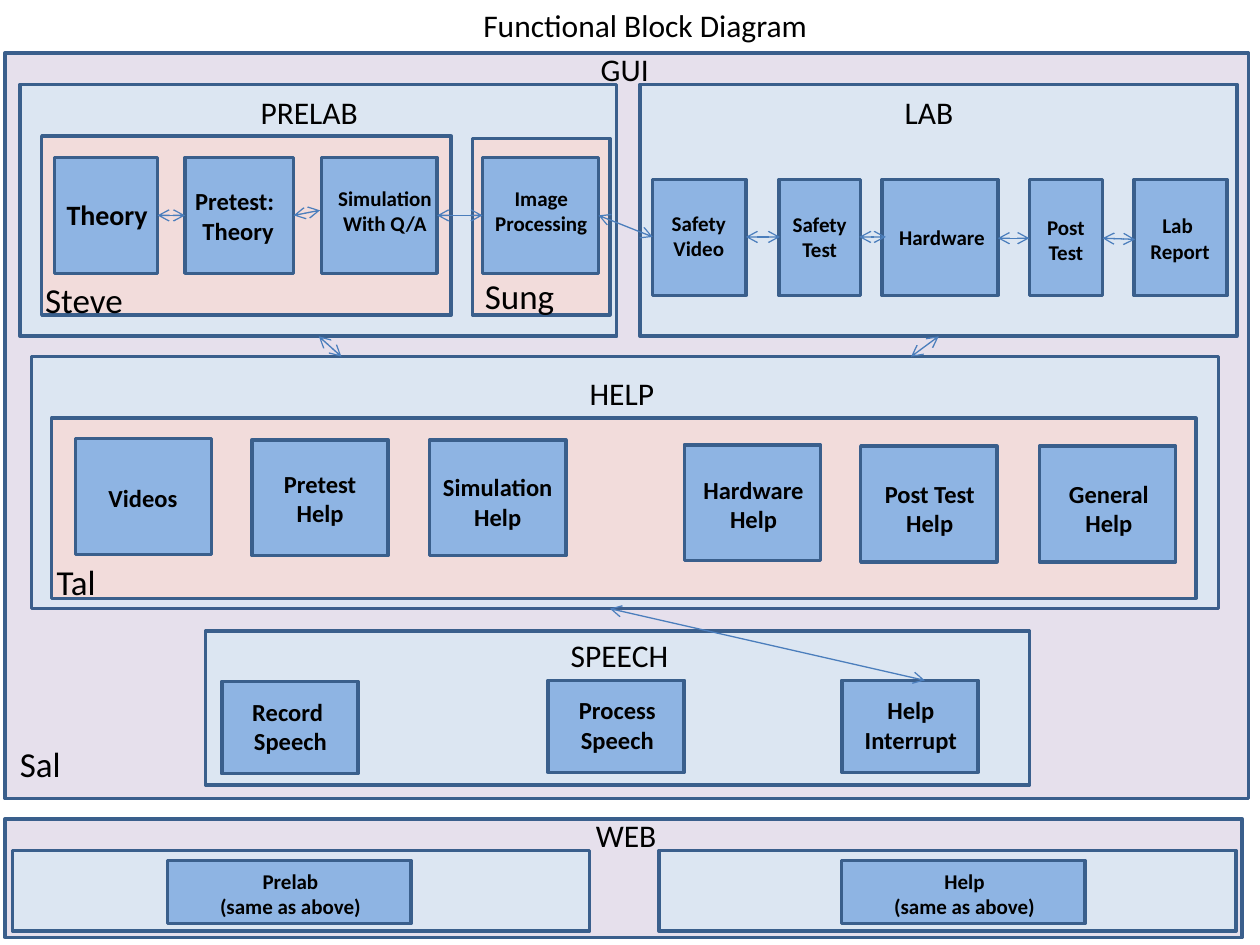
from dataclasses import dataclass

from lxml import etree
from pptx import Presentation
from pptx.dml.color import RGBColor
from pptx.enum.shapes import MSO_CONNECTOR, MSO_SHAPE
from pptx.enum.text import MSO_AUTO_SIZE, PP_ALIGN
from pptx.oxml.ns import qn
from pptx.util import Pt

RECTANGLE = MSO_SHAPE.RECTANGLE
STRAIGHT = MSO_CONNECTOR.STRAIGHT
GROW = MSO_AUTO_SIZE.SHAPE_TO_FIT_TEXT
LEFT, CENTER = PP_ALIGN.LEFT, PP_ALIGN.CENTER


@dataclass(frozen=True)
class Theme:
    """Colours, font and type sizes of the diagram."""
    system: str = "E6E0EC"
    section: str = "DCE6F2"
    owner: str = "F2DCDB"
    block: str = "8EB4E3"
    border: str = "3A5F8C"
    arrow: str = "4B7EBC"
    text: str = "000000"
    font: str = "Calibri"
    name: int = 20
    heading: int = 18
    large: int = 16
    medium: int = 14
    small: int = 12


class Diagram:
    """Draws the parts of a block diagram on one slide; lengths in points."""

    def __init__(self, slide, theme):
        """Keep the slide and its style."""
        self.shapes = slide.shapes
        self.theme = theme

    def box(self, left, top, width, height, fill):
        """Draw a bordered rectangle."""
        rect = self.shapes.add_shape(
            RECTANGLE, Pt(left), Pt(top), Pt(width), Pt(height))
        rect.shadow.inherit = False
        rect.fill.solid()
        rect.fill.fore_color.rgb = RGBColor.from_string(fill)
        rect.line.color.rgb = RGBColor.from_string(self.theme.border)
        rect.line.width = Pt(2)

    def label(self, text, left, top, width, size,
              bold=False, aligns=(LEFT,), wrap=False):
        """Write text, one paragraph a line; the last alignment carries on."""
        height = 7.2 + 1.22 * size * len(text.split("\n"))
        frame = self.shapes.add_textbox(
            Pt(left), Pt(top), Pt(width), Pt(height)).text_frame
        frame.word_wrap = wrap
        frame.auto_size = GROW
        frame.text = text
        for index, paragraph in enumerate(frame.paragraphs):
            paragraph.alignment = aligns[min(index, len(aligns) - 1)]
            for run in paragraph.runs:
                run.font.name = self.theme.font
                run.font.size = Pt(size)
                run.font.bold = bold
                run.font.color.rgb = RGBColor.from_string(self.theme.text)

    def block(self, bounds, text, place, size, aligns=(CENTER,), wrap=False):
        """Draw a block with its bold label at (left, top, width)."""
        self.box(*bounds, self.theme.block)
        self.label(text, *place, size, True, aligns, wrap)

    def arrow(self, x1, y1, x2, y2):
        """Draw a thin arrow with a head at both ends."""
        link = self.shapes.add_connector(
            STRAIGHT, Pt(x1), Pt(y1), Pt(x2), Pt(y2))
        link.line.color.rgb = RGBColor.from_string(self.theme.arrow)
        link.line.width = Pt(0.75)
        line = link.line._get_or_add_ln()
        for end in ("a:headEnd", "a:tailEnd"):
            etree.SubElement(line, qn(end), type="arrow")
        etree.SubElement(link._element.spPr, qn("a:effectLst"))


def draw_panels(diagram):
    """Draw the nested areas from the outside in."""
    theme = diagram.theme
    panels = {
        theme.system: [(2.9, 30.2, 710.6, 426.2), (2.9, 468, 707, 67.7)],
        theme.section: [
            (11.5, 48.2, 340.9, 144), (365.8, 48.2, 341, 144),
            (18, 203.8, 678.2, 144), (117.4, 360.7, 470.9, 87.8),
            (7.2, 486, 329.8, 46), (376.6, 486, 329.8, 46)],
        theme.owner: [
            (23.8, 77.8, 234, 102.2), (270, 79.2, 78.5, 100.8),
            (29.5, 239, 653.8, 103)],
    }
    for fill, areas in panels.items():
        for area in areas:
            diagram.box(*area, fill)


def draw_blocks(diagram):
    """Draw the blocks of every section."""
    theme = diagram.theme
    large, medium, small = theme.large, theme.medium, theme.small

    prelab = [
        (31, 59, "Theory", (31, 109.4, 61.9), large, (LEFT,), False),
        (105.8, 61.9, "Pretest:\nTheory", (104.4, 103, 63.4), medium,
         (LEFT, CENTER), True),
        (183.6, 66.2, "Simulation\nWith Q/A", (182.9, 102.2, 74.2), small,
         (CENTER,), True),
        (275.8, 66.2, "Image\nProcessing", (272.2, 102.2, 74.2), small,
         (CENTER,), True),
    ]
    for left, width, text, place, size, aligns, wrap in prelab:
        diagram.block((left, 90, width, 66.2), text, place, size, aligns, wrap)

    lab = [
        (373, 53.3, "Safety\nVideo", (376.6, 116.6, 45.4)),
        (445, 46.8, "Safety\nTest", (445.7, 117.4, 45.4)),
        (504, 66.2, "Hardware", (506.2, 124.6, 64.1)),
        (588.2, 41.8, "Post\nTest", (591.1, 118.8, 36)),
        (648, 53.3, "Lab \nReport", (648, 118.1, 52.6)),
    ]
    for left, width, text, place in lab:
        diagram.block((left, 102.6, width, 66.2), text, place, small)

    help_topics = [
        (43.2, 250.6, "Videos", (54.7, 272.2, 54)),
        (144, 251.3, "Pretest\nHelp", (154.8, 264.2, 56.2)),
        (245.5, 251.3, "Simulation\nHelp", (245.5, 266.4, 77.8)),
        (391, 254.2, "Hardware\nHelp", (394.6, 267.8, 72)),
        (491.8, 254.9, "Post Test\nHelp", (498.2, 270, 66.2)),
        (594, 254.9, "General\nHelp", (603.4, 270, 60.5)),
    ]
    speech = [
        (126.7, 389.5, "Record \nSpeech", (136.8, 394.6, 58.3)),
        (313.2, 388.8, "Process\nSpeech", (323.3, 393.8, 59)),
        (481, 388.8, "Help\nInterrupt", (486.7, 393.8, 67.7)),
    ]
    for blocks, height in ((help_topics, 66.2), (speech, 52.6)):
        for left, top, text, place in blocks:
            diagram.block((left, top, 77.8, height), text, place, medium)

    for left, section in ((95.8, "Prelab"), (481, "Help")):
        diagram.block((left, 491.8, 139, 36), f"{section}\n(same as above)",
                      (left + 0.7, 492.5, 139), small, wrap=True)


def draw_captions(diagram):
    """Write the title, section headings and owners' names."""
    theme = diagram.theme
    diagram.label("Functional Block Diagram", 203.8, 0, 329.8, theme.heading,
                  aligns=(CENTER,), wrap=True)
    captions = {
        theme.heading: [
            ("GUI", 336.2, 25.2, 42.5), ("PRELAB", 141.8, 49.7, 70.6),
            ("LAB", 509.8, 49.7, 42.5), ("HELP", 329.8, 210.2, 51.8),
            ("SPEECH", 319, 360, 70.6), ("WEB", 333.4, 463, 49.7)],
        theme.name: [
            ("Steve", 18.7, 155.5, 59.8), ("Sung", 270, 153.4, 54.7),
            ("Tal", 25.2, 316.8, 37.4), ("Sal", 4.3, 420.5, 38.2)],
    }
    for size, entries in captions.items():
        for entry in entries:
            diagram.label(*entry, size)


def draw_arrows(diagram):
    """Link the blocks and sections."""
    links = [
        (90, 123.1, 105.8, 123.1), (167.8, 123.1, 182.9, 120.2),
        (249.8, 123.1, 275.8, 123.1), (342, 123.1, 373, 135.4),
        (426.2, 135.4, 445.7, 135.4), (491, 135.4, 506.2, 135.4),
        (570.2, 136.1, 588.2, 136.1), (630, 136.1, 648.7, 136.8),
        (182.2, 192.2, 195.1, 203.8), (520.6, 203.8, 536.4, 192.2),
        (528.5, 388.8, 348.5, 347.8),
    ]
    for link in links:
        diagram.arrow(*link)


def main():
    """Build and save the slide."""
    deck = Presentation()
    deck.slide_width, deck.slide_height = Pt(720), Pt(540)
    diagram = Diagram(deck.slides.add_slide(deck.slide_layouts[6]), Theme())
    for draw in (draw_panels, draw_blocks, draw_captions, draw_arrows):
        draw(diagram)
    deck.save("out.pptx")


main()
